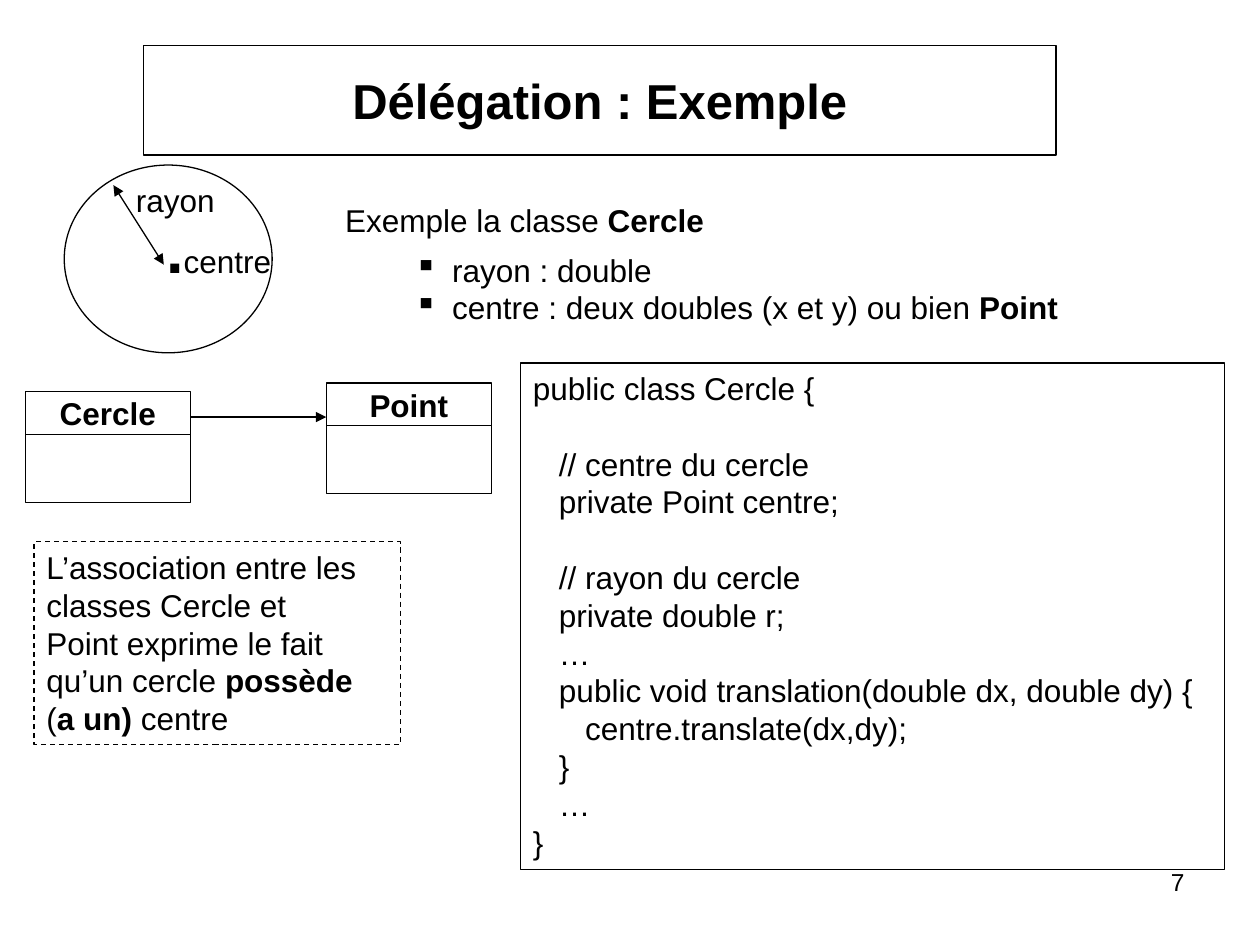
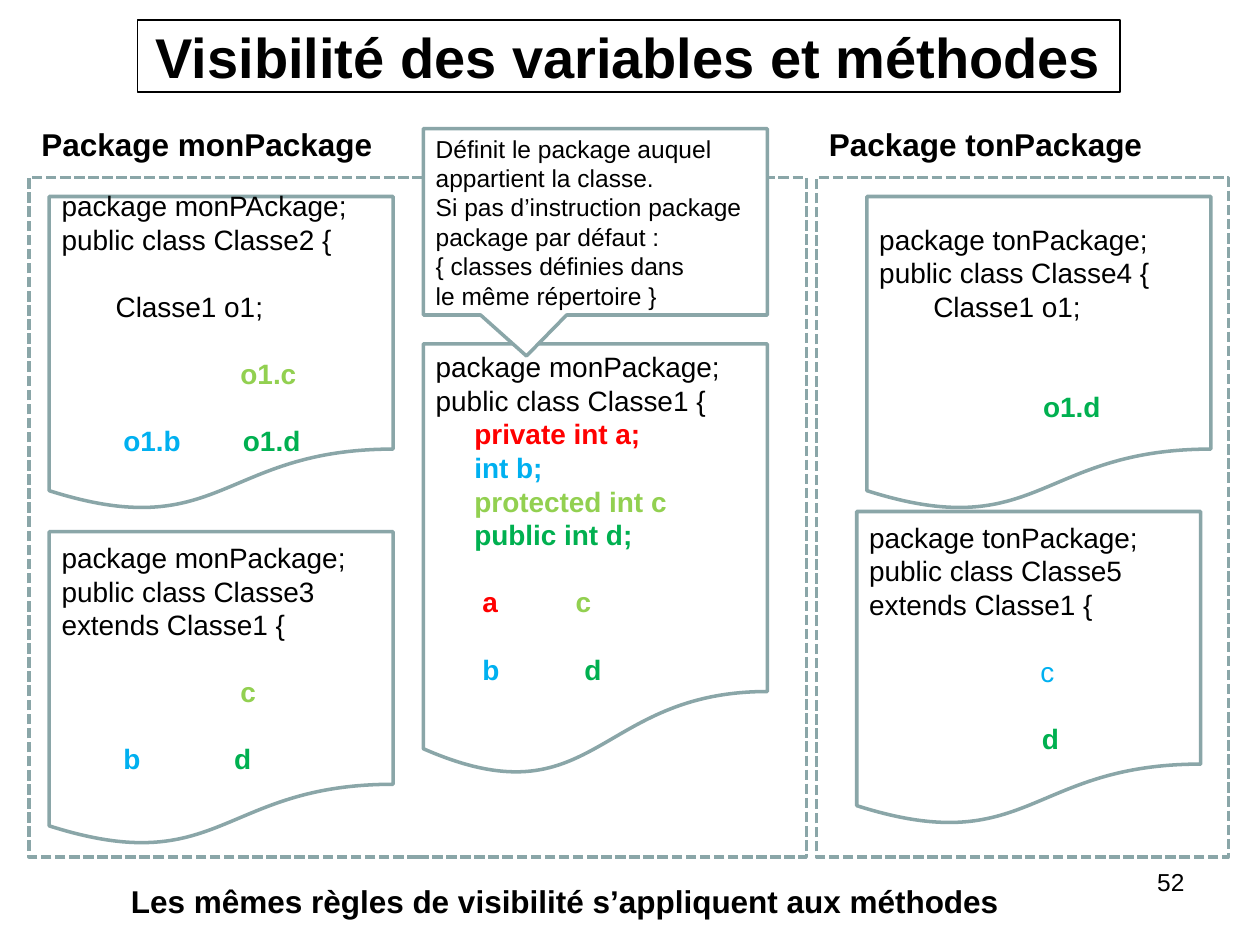
from dataclasses import dataclass
from typing import Any, NamedTuple

from lxml import etree
from pptx import Presentation
from pptx.dml.color import RGBColor
from pptx.enum.dml import MSO_LINE
from pptx.enum.shapes import MSO_CONNECTOR, MSO_SHAPE
from pptx.enum.text import MSO_ANCHOR, MSO_AUTO_SIZE, PP_ALIGN
from pptx.oxml.ns import qn
from pptx.util import Inches, Pt

RECT = MSO_SHAPE.RECTANGLE
OVAL = MSO_SHAPE.OVAL
PAGE = MSO_SHAPE.FLOWCHART_DOCUMENT
CALL = MSO_SHAPE.RECTANGULAR_CALLOUT
LINE = MSO_CONNECTOR.STRAIGHT
DASH = MSO_LINE.DASH
DOTS = MSO_LINE.SQUARE_DOT
TOP, MID = MSO_ANCHOR.TOP, MSO_ANCHOR.MIDDLE
LEFT, CENTRE, RIGHT = PP_ALIGN.LEFT, PP_ALIGN.CENTER, PP_ALIGN.RIGHT
GROW, FIXED = MSO_AUTO_SIZE.SHAPE_TO_FIT_TEXT, MSO_AUTO_SIZE.NONE


@dataclass(frozen=True)
class Theme:
    face: str = "Arial"
    black: str = "000000"
    white: str = "FFFFFF"
    slate: str = "8AA6A8"
    red: str = "FF0000"
    blue: str = "00B0F0"
    lime: str = "92D050"
    green: str = "00B050"
    dot: float = 36
    body: float = 18
    code: float = 16
    note: float = 14
    thin: float = 0.75
    thick: float = 2
    pitch: float = 1.2


T = Theme()


class Area(NamedTuple):
    left: float
    top: float
    width: float
    height: float


class Bit(NamedTuple):
    text: str
    ink: str = T.black
    bold: bool = False
    size: float | None = None


@dataclass(frozen=True)
class Row:
    bits: tuple[Bit, ...]
    gap: int = 0
    tabs: tuple[float, ...] = ()
    mark: str = ""


@dataclass(frozen=True)
class Box:
    area: Area
    rows: tuple[Row, ...] = ()
    kind: Any = None
    size: float = T.body
    edge: str = T.black
    width: float = T.thin
    fill: str | None = None
    dash: Any = None
    align: Any = LEFT
    anchor: Any = TOP
    wrap: bool = True
    fit: Any = FIXED
    bends: tuple[float, ...] = ()


def put(thing: Any, **values: Any) -> None:
    for name, value in values.items():
        setattr(thing, name, value)


def tint(code: str) -> RGBColor:
    return RGBColor.from_string(code)


def plain(text: str) -> tuple[Row, ...]:
    rows, gap = [], 0
    for line in text.split("\n"):
        if line:
            rows.append(Row((Bit(line),), gap))
            gap = 0
        else:
            gap += 1
    return tuple(rows)


def bold(text: str) -> tuple[Row, ...]:
    return (Row((Bit(text, bold=True),)),)


def write(shape: Any, box: Box) -> None:
    frame = shape.text_frame
    put(frame, word_wrap=box.wrap, auto_size=box.fit, vertical_anchor=box.anchor)
    for i, row in enumerate(box.rows):
        para = frame.add_paragraph() if i else frame.paragraphs[0]
        props = para._p.get_or_add_pPr()
        if row.mark:
            indent = Inches(0.3)
            props.set("marL", str(indent))
            props.set("indent", str(-indent))
            etree.SubElement(props, qn("a:buChar"), char=row.mark)
        if row.tabs:
            stops = etree.SubElement(props, qn("a:tabLst"))
            for stop in row.tabs:
                etree.SubElement(stops, qn("a:tab"), pos=str(Inches(stop)), algn="l")
        para.alignment = box.align
        if row.gap:
            para.space_before = Pt(row.gap * box.size * T.pitch)
        for bit in row.bits:
            run = para.add_run()
            run.text = bit.text
            put(run.font, name=T.face, size=Pt(bit.size or box.size), bold=bit.bold)
            run.font.color.rgb = tint(bit.ink)


def stroke(line: Any, ink: str, width: float, dash: Any = None) -> None:
    line.color.rgb = tint(ink)
    put(line, width=Pt(width), dash_style=dash)


def draw(shapes: Any, box: Box) -> None:
    place = [Inches(n) for n in box.area]
    if box.kind is None:
        shape = shapes.add_textbox(*place)
    else:
        shape = shapes.add_shape(box.kind, *place)
        shape.shadow.inherit = False
        for i, bend in enumerate(box.bends):
            shape.adjustments[i] = bend
        if box.fill:
            shape.fill.solid()
            shape.fill.fore_color.rgb = tint(box.fill)
        else:
            shape.fill.background()
        stroke(shape.line, box.edge, box.width, box.dash)
    if box.rows:
        write(shape, box)


def arrow(shapes: Any, start: tuple, end: tuple, ends: tuple[str, ...]) -> None:
    points = [Inches(n) for n in (*start, *end)]
    link = shapes.add_connector(LINE, *points)
    stroke(link.line, T.black, T.thin)
    for end_tag in ends:
        etree.SubElement(link.line._get_or_add_ln(), qn(end_tag), type="triangle")
    etree.SubElement(link._element.spPr, qn("a:effectLst"))


def start(deck: Any, text: str, area: Area, size: float) -> Any:
    slide = deck.slides.add_slide(deck.slide_layouts[5])
    title = slide.shapes.title
    left, top, width, height = map(Inches, area)
    put(title, left=left, top=top, width=width, height=height)
    shape = etree.SubElement(title._element.spPr, qn("a:prstGeom"), prst="roundRect")
    etree.SubElement(shape, qn("a:avLst"))
    stroke(title.line, T.black, T.thin)
    write(title, Box(area, bold(text), size=size, align=CENTRE, anchor=MID, wrap=False))
    return slide.shapes


def number(shapes: Any, text: str) -> None:
    draw(shapes, Box(Area(8.5, 6.83, 1, 0.52), plain(text), size=T.note, align=RIGHT))


def entity(shapes: Any, name: str, left: float, top: float) -> None:
    group = shapes.add_group_shape().shapes
    draw(group, Box(Area(left, top, 1.31, 0.34), bold(name), RECT,
                    align=CENTRE, anchor=MID, wrap=False))
    draw(group, Box(Area(left, top + 0.34, 1.31, 0.54), kind=RECT))


def source(shapes: Any, left: float, top: float, rows: tuple[Row, ...],
           height: float = 2.5) -> None:
    draw(shapes, Box(Area(left, top, 2.73, height), rows, PAGE, T.code,
                     T.slate, T.thick, T.white, anchor=MID))


CERCLE = """public class Cercle {

   // centre du cercle
   private Point centre;

   // rayon du cercle
   private double r;
   …
   public void translation(double dx, double dy) {
      centre.translate(dx,dy);
   }
   …
}"""

NOTE = """Définit le package auquel
appartient la classe.
Si pas d’instruction package
package par défaut :
{ classes définies dans
le même répertoire }"""


def circle(deck: Any) -> None:
    shapes = start(deck, "Délégation : Exemple", Area(1.14, 0.36, 7.24, 0.87), 28)
    draw(shapes, Box(Area(2.64, 1.55, 3.05, 0.4), (
        Row((Bit("Exemple la classe "), Bit("Cercle", bold=True))),),
        wrap=False, fit=GROW))
    draw(shapes, Box(Area(0.51, 1.31, 1.65, 1.49), kind=OVAL))
    arrow(shapes, (0.9, 1.47), (1.3, 2.1), ("a:headEnd", "a:tailEnd"))
    draw(shapes, Box(Area(1.22, 1.62, 1.1, 0.7), (
        Row((Bit(".", bold=True, size=T.dot), Bit("centre"))),), fit=GROW))
    draw(shapes, Box(Area(0.98, 1.39, 0.87, 0.4), plain("rayon"), fit=GROW))
    draw(shapes, Box(Area(3.19, 1.94, 5.67, 0.7), (
        Row((Bit("rayon : double"),), mark="▪"),
        Row((Bit("centre : deux doubles (x et y) ou bien "),
             Bit("Point", bold=True)), mark="▪")), fit=GROW))
    draw(shapes, Box(Area(4.13, 2.88, 5.59, 4.02), plain(CERCLE), RECT, fit=GROW))
    entity(shapes, "Cercle", 0.2, 3.11)
    entity(shapes, "Point", 2.59, 3.04)
    arrow(shapes, (1.51, 3.31), (2.59, 3.31), ("a:tailEnd",))
    draw(shapes, Box(Area(0.27, 4.3, 2.91, 1.61), (
        *plain("L’association entre les\nclasses Cercle et"),
        Row((Bit("Point exprime le fait qu’un cercle "), Bit("possède ", bold=True),
             Bit("("), Bit("a un) ", bold=True), Bit("centre")))),
        RECT, dash=DASH, fit=GROW))
    number(shapes, "7")


def scope(deck: Any) -> None:
    shapes = start(deck, "Visibilité des variables et méthodes",
                   Area(1.09, 0.16, 7.8, 0.57), 32)
    for left, width in ((6.48, 3.27), (0.23, 6.17)):
        draw(shapes, Box(Area(left, 1.41, width, 5.39), kind=RECT, edge=T.slate,
                         width=T.thick, fill=T.white, dash=DOTS))
    number(shapes, "52")
    source(shapes, 0.39, 1.56, (
        *plain("package monPAckage;\npublic class Classe2 {\n\n       Classe1 o1;"),
        Row((Bit("\to1.c", T.lime, True),), 1, (1.42,)),
        Row((Bit("\to1.b", T.blue, True), Bit("\to1.d", T.green, True)),
            1, (0.49, 1.44))))
    source(shapes, 0.39, 4.22, (
        *plain("package monPackage;\npublic class Classe3\nextends Classe1 {"),
        Row((Bit("\tc", T.lime, True),), 1, (1.42,)),
        Row((Bit("\tb", T.blue, True), Bit("\td", T.green, True)),
            1, (0.49, 1.37))))
    source(shapes, 3.36, 2.73, (
        *plain("package monPackage;\npublic class Classe1 {"),
        Row((Bit("     private int a;", T.red, True),)),
        Row((Bit("     int b;", T.blue, True),)),
        Row((Bit("     protected int c", T.lime, True),)),
        Row((Bit("     public int d;", T.green, True),)),
        Row((Bit("\ta", T.red, True), Bit("\tc", T.lime, True)), 1, (0.37, 1.11)),
        Row((Bit("\tb", T.blue, True), Bit("\td", T.green, True)), 1, (0.37, 1.18))),
        3.44)
    draw(shapes, Box(Area(3.36, 1.02, 2.73, 1.48), plain(NOTE), CALL, T.note,
                     T.slate, T.thick, T.white, anchor=MID, bends=(-0.2, 0.72)))
    source(shapes, 6.88, 1.56, (
        *plain("package tonPackage;\npublic class Classe4 {\n       Classe1 o1;"),
        Row((Bit("\to1.d", T.green, True),), 2, (1.3,))))
    source(shapes, 6.8, 4.06, (
        *plain("package tonPackage;\npublic class Classe5\nextends Classe1 {"),
        Row((Bit("\tc", T.blue),), 1, (1.36,)),
        Row((Bit("\td", T.green, True),), 1, (1.37,))))
    for text, left, width in (("Package monPackage", 0.23, 2.85),
                              ("Package tonPackage", 6.48, 2.71)):
        draw(shapes, Box(Area(left, 0.94, width, 0.4), bold(text),
                         wrap=False, fit=GROW))
    draw(shapes, Box(Area(0.94, 6.95, 7.58, 0.4), bold(
        "Les mêmes règles de visibilité s’appliquent aux méthodes"), fit=GROW))


def main() -> None:
    deck = Presentation()
    put(deck, slide_width=Inches(10), slide_height=Inches(7.5))
    circle(deck)
    scope(deck)
    deck.save("out.pptx")


if __name__ == "__main__":
    main()
